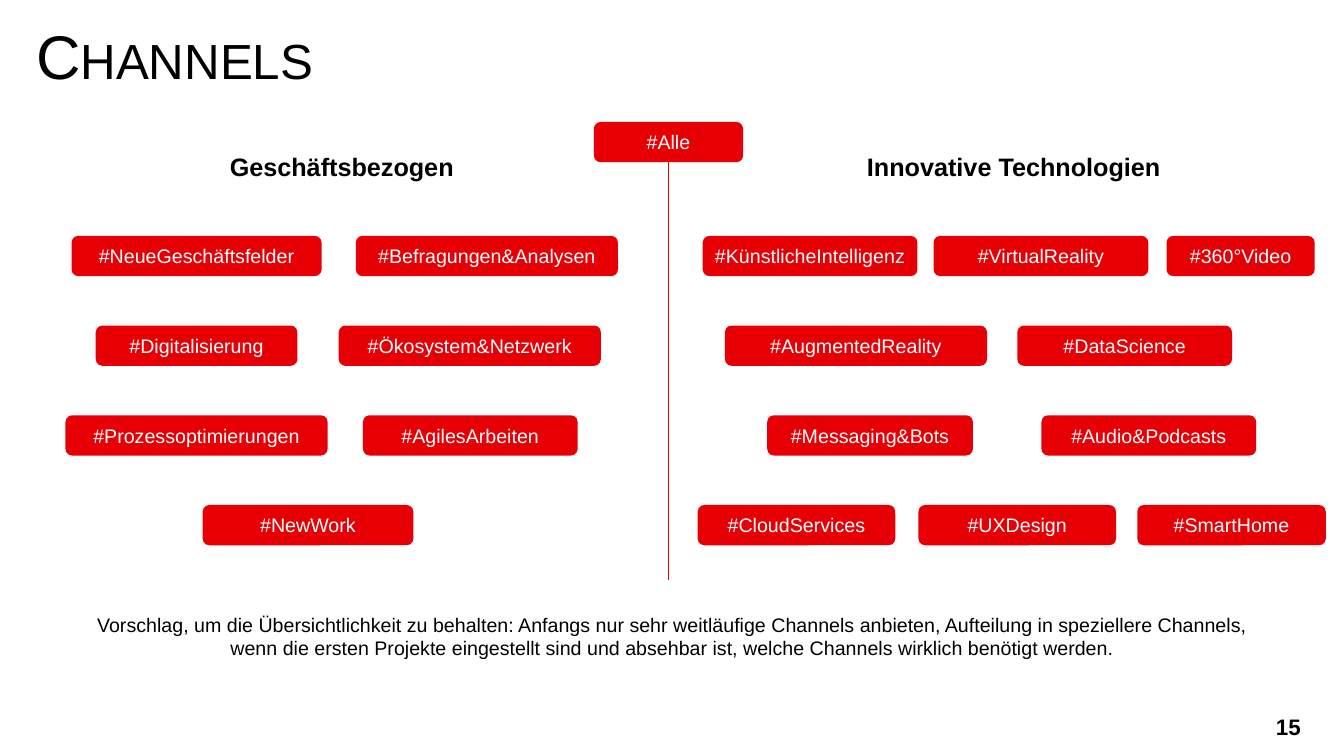
from pptx import Presentation
from pptx.dml.color import RGBColor
from pptx.enum.shapes import MSO_CONNECTOR, MSO_SHAPE
from pptx.enum.text import MSO_ANCHOR, PP_ALIGN
from pptx.oxml.ns import qn
from pptx.util import Pt
from lxml import etree

PX = 9144  # EMU per px, 100 px to the inch
LEFT, CENTER, RIGHT = PP_ALIGN.LEFT, PP_ALIGN.CENTER, PP_ALIGN.RIGHT
TOP, MIDDLE = MSO_ANCHOR.TOP, MSO_ANCHOR.MIDDLE
ROUNDED, STRAIGHT = MSO_SHAPE.ROUNDED_RECTANGLE, MSO_CONNECTOR.STRAIGHT
COLORS = {"red": "E60005", "black": "000000", "white": "FFFFFF"}

PILL_HEIGHT = 40
FIRST_ROW, ROW_STEP = 234, 89
# Each row lists channels as (left, width, name)
BUSINESS_ROWS = [
    [(71, 248, "#NeueGeschäftsfelder"), (353, 260, "#Befragungen&Analysen")],
    [(95, 200, "#Digitalisierung"), (336, 260, "#Ökosystem&Netzwerk")],
    [(65, 260, "#Prozessoptimierungen"), (360, 213, "#AgilesArbeiten")],
    [(201, 209, "#NewWork")],
]
TECHNOLOGY_ROWS = [
    [(697, 213, "#KünstlicheIntelligenz"), (926, 213, "#VirtualReality"),
     (1157, 147, "#360°Video")],
    [(719, 260, "#AugmentedReality"), (1009, 213, "#DataScience")],
    [(761, 204, "#Messaging&Bots"), (1033, 213, "#Audio&Podcasts")],
    [(692, 196, "#CloudServices"), (911, 196, "#UXDesign"),
     (1128, 187, "#SmartHome")],
]
PROPOSAL = (
    "Vorschlag, um die Übersichtlichkeit zu behalten: Anfangs nur sehr "
    "weitläufige Channels anbieten, Aufteilung in speziellere Channels, wenn "
    "die ersten Projekte eingestellt sind und absehbar ist, welche Channels "
    "wirklich benötigt werden."
)


def color(name):
    return RGBColor.from_string(COLORS[name])


class Page:
    """Draws styled elements on one slide, with lengths in px."""

    font = "Arial"

    def __init__(self, slide):
        self.shapes = slide.shapes

    def fill_text(self, box, text, size, ink="black", bold=False, align=CENTER, anchor=TOP):
        frame = box.text_frame
        frame.word_wrap = True
        frame.vertical_anchor = anchor
        para = frame.paragraphs[0]
        para.alignment = align
        span = para.add_run()
        span.text = text
        span.font.name = self.font
        span.font.size = Pt(size)
        span.font.bold = bold
        span.font.color.rgb = color(ink)
        return para, span

    def text(self, left, top, width, height, text, size, **style):
        box = self.shapes.add_textbox(left * PX, top * PX, width * PX, height * PX)
        return self.fill_text(box, text, size, **style)

    def title(self, left, top, width, height, text):
        para, span = self.text(left, top, width, height, text, 44, align=LEFT)
        para.line_spacing = 0.9
        span.font._element.set("cap", "small")

    def pill(self, left, top, width, text):
        box = self.shapes.add_shape(
            ROUNDED, left * PX, top * PX, width * PX, PILL_HEIGHT * PX)
        box.shadow.inherit = False
        box.fill.solid()
        box.fill.fore_color.rgb = color("red")
        box.line.fill.background()
        box.text_frame.margin_left = box.text_frame.margin_right = 5 * PX
        self.fill_text(box, text, 14, ink="white", anchor=MIDDLE)
        return box

    def channels(self, rows):
        for index, row in enumerate(rows):
            for left, width, name in row:
                self.pill(left, FIRST_ROW + index * ROW_STEP, width, name)

    def divider(self, x, top, bottom):
        line = self.shapes.add_connector(STRAIGHT, x * PX, top * PX, x * PX, bottom * PX)
        line.line.color.rgb = color("red")
        line.line.width = Pt(0.25)
        etree.SubElement(line._element.spPr, qn("a:effectLst"))
        return line


def main():
    deck = Presentation()
    deck.slide_width, deck.slide_height = 1333 * PX, 750 * PX
    page = Page(deck.slides.add_slide(deck.slide_layouts[6]))

    page.title(26, 21, 1274, 76, "Channels")
    page.text(1223, 703, 77, 36, "15", 16, bold=True, align=RIGHT, anchor=MIDDLE)
    page.text(215, 145, 248, 40, "Geschäftsbezogen", 18, bold=True)
    page.text(838, 145, 335, 40, "Innovative Technologien", 18, bold=True)

    page.channels(BUSINESS_ROWS)
    page.channels(TECHNOLOGY_ROWS)

    divider = page.divider(663, 121, 575)
    everyone = page.pill(589, 121, 148, "#Alle")
    divider.begin_connect(everyone, 0)

    page.text(77, 603, 1180, 57, PROPOSAL, 14)
    deck.save("out.pptx")


if __name__ == "__main__":
    main()
